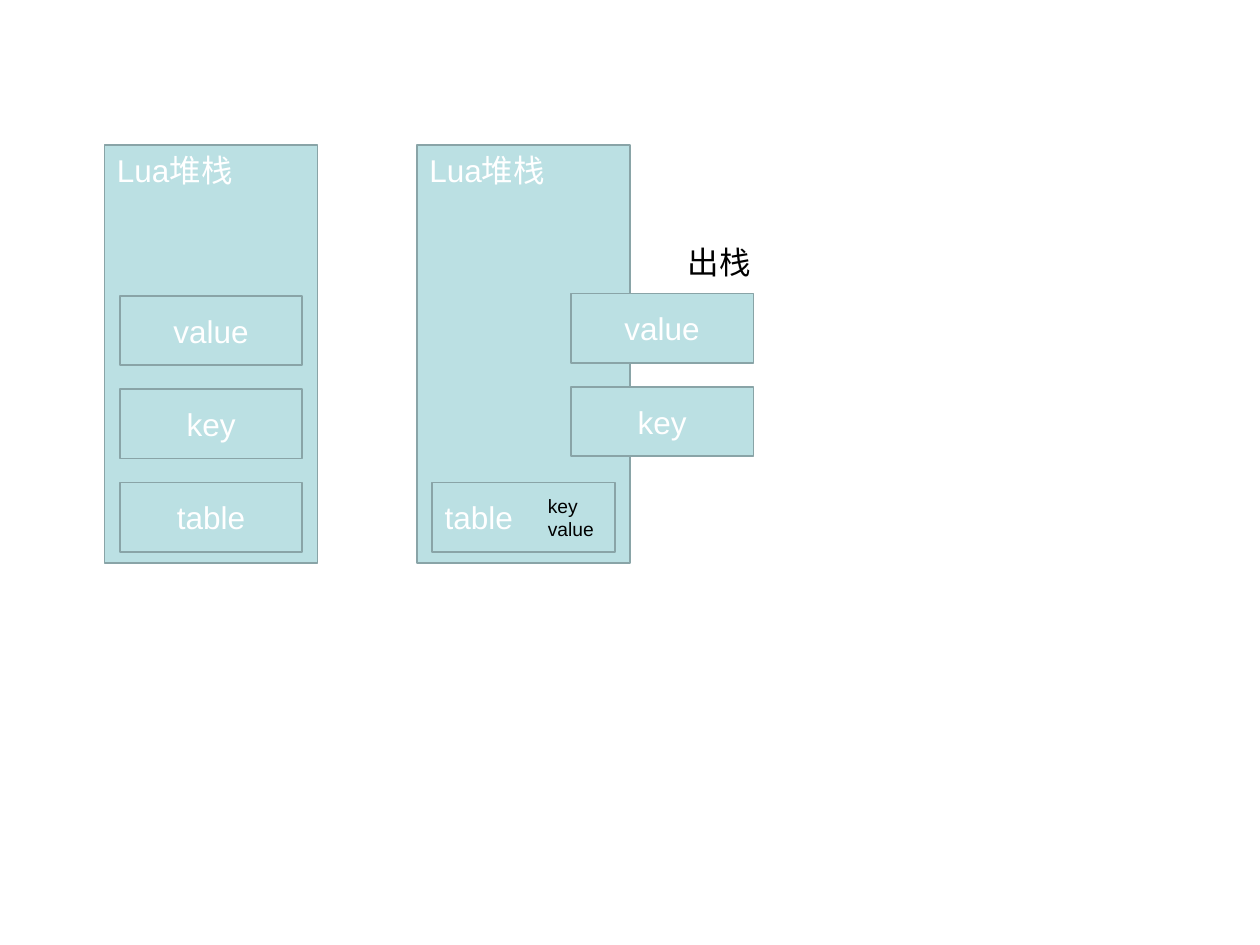
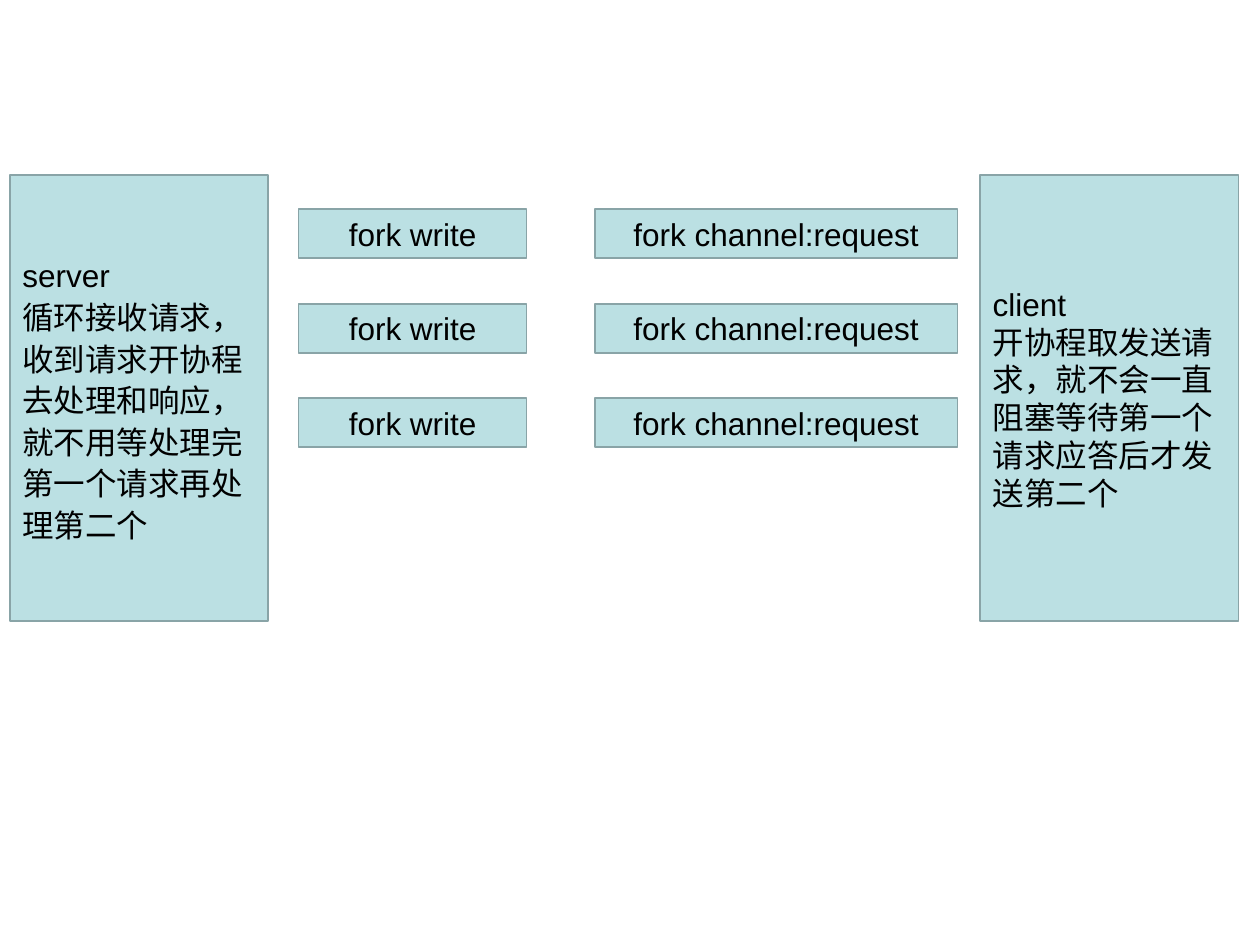
from dataclasses import dataclass

from pptx import Presentation
from pptx.dml.color import RGBColor
from pptx.enum.shapes import MSO_SHAPE
from pptx.enum.text import MSO_ANCHOR, MSO_AUTO_SIZE, PP_ALIGN
from pptx.util import Inches, Pt

STACK_TITLE = "Lua堆栈"
STACK_ITEMS = ["table", "key", "value"]
TABLE_CONTENT = "key\nvalue"
POP_LABEL = "出栈"

PEERS = [
    (0.08, "server\n循环接收请求，收到请求开协程去处理和响应，就不用等处理完第一个请求再处理第二个", 1.1),
    (7.78, "client\n开协程取发送请求，就不会一直阻塞等待第一个请求应答后才发送第二个", 1.0),
]
FORKS = [(2.37, 1.81, "fork write"), (4.72, 2.88, "fork channel:request")]
FORK_COUNT = 3


@dataclass(frozen=True)
class Theme:
    font: str = "Arial"
    fill: RGBColor = RGBColor(0xBB, 0xE0, 0xE3)
    line: RGBColor = RGBColor(0x89, 0xA4, 0xA7)
    light: RGBColor = RGBColor(0xFF, 0xFF, 0xFF)
    dark: RGBColor = RGBColor(0x00, 0x00, 0x00)
    line_width: float = 1
    body: float = 18
    small: float = 11


THEME = Theme()

STACK_TOP, STACK_WIDTH, STACK_HEIGHT = 1.15, 1.69, 3.32
FULL_LEFT, POPPED_LEFT = 0.83, 3.31
ITEM_WIDTH, ITEM_HEIGHT = 1.45, 0.55
ITEM_INSET = (STACK_WIDTH - ITEM_WIDTH) / 2
ITEM_TOPS = [3.83 - 0.74 * row for row in range(len(STACK_ITEMS))]
POP_LEFT, POP_RISE = 4.53, 0.02
PEER_TOP, PEER_WIDTH, PEER_HEIGHT = 1.39, 2.05, 3.54
FORK_TOP, FORK_HEIGHT, FORK_STEP = 1.66, 0.39, 0.75


def write(box, text, size, color, align, spacing=1.0):
    frame = box.text_frame
    frame.text = text
    for para in frame.paragraphs:
        para.alignment = align
        para.line_spacing = spacing
        for span in para.runs:
            span.font.name = THEME.font
            span.font.size = Pt(size)
            span.font.color.rgb = color


def add_box(page, left, top, width, height, text, color,
            align=PP_ALIGN.CENTER, anchor=MSO_ANCHOR.MIDDLE, spacing=1.0):
    box = page.shapes.add_shape(MSO_SHAPE.RECTANGLE, Inches(left), Inches(top),
                                Inches(width), Inches(height))
    box.shadow.inherit = False
    box.fill.solid()
    box.fill.fore_color.rgb = THEME.fill
    box.line.color.rgb = THEME.line
    box.line.width = Pt(THEME.line_width)
    box.text_frame.word_wrap = True
    box.text_frame.vertical_anchor = anchor
    write(box, text, THEME.body, color, align, spacing)


def add_label(page, left, top, width, height, text, size, wrap):
    box = page.shapes.add_textbox(Inches(left), Inches(top), Inches(width), Inches(height))
    box.text_frame.word_wrap = wrap
    box.text_frame.auto_size = MSO_AUTO_SIZE.SHAPE_TO_FIT_TEXT
    write(box, text, size, THEME.dark, PP_ALIGN.LEFT)


def add_stack(page, left):
    add_box(page, left, STACK_TOP, STACK_WIDTH, STACK_HEIGHT, STACK_TITLE, THEME.light,
            PP_ALIGN.LEFT, MSO_ANCHOR.TOP)


def add_item(page, left, top, name, align=PP_ALIGN.CENTER):
    add_box(page, left, top, ITEM_WIDTH, ITEM_HEIGHT, name, THEME.light, align)


def build_stack_page(page):
    add_stack(page, FULL_LEFT)
    for name, top in zip(STACK_ITEMS, ITEM_TOPS):
        add_item(page, FULL_LEFT + ITEM_INSET, top, name)

    add_stack(page, POPPED_LEFT)
    add_item(page, POPPED_LEFT + ITEM_INSET, ITEM_TOPS[0], STACK_ITEMS[0], PP_ALIGN.LEFT)
    add_label(page, 4.25, 3.87, 0.87, 0.47, TABLE_CONTENT, THEME.small, True)
    for name, top in zip(STACK_ITEMS[1:], ITEM_TOPS[1:]):
        add_item(page, POP_LEFT, top - POP_RISE, name)
    add_label(page, 5.36, 1.88, 0.7, 0.4, POP_LABEL, THEME.body, False)


def build_fork_page(page):
    for left, text, spacing in PEERS:
        add_box(page, left, PEER_TOP, PEER_WIDTH, PEER_HEIGHT, text, THEME.dark,
                PP_ALIGN.LEFT, spacing=spacing)
    for row in range(FORK_COUNT):
        for left, width, text in FORKS:
            add_box(page, left, FORK_TOP + row * FORK_STEP, width, FORK_HEIGHT,
                    text, THEME.dark)


def main():
    deck = Presentation()
    deck.slide_width, deck.slide_height = Inches(10), Inches(7.5)
    blank = deck.slide_layouts[6]
    for build in (build_stack_page, build_fork_page):
        build(deck.slides.add_slide(blank))
    deck.save("out.pptx")


if __name__ == "__main__":
    main()
